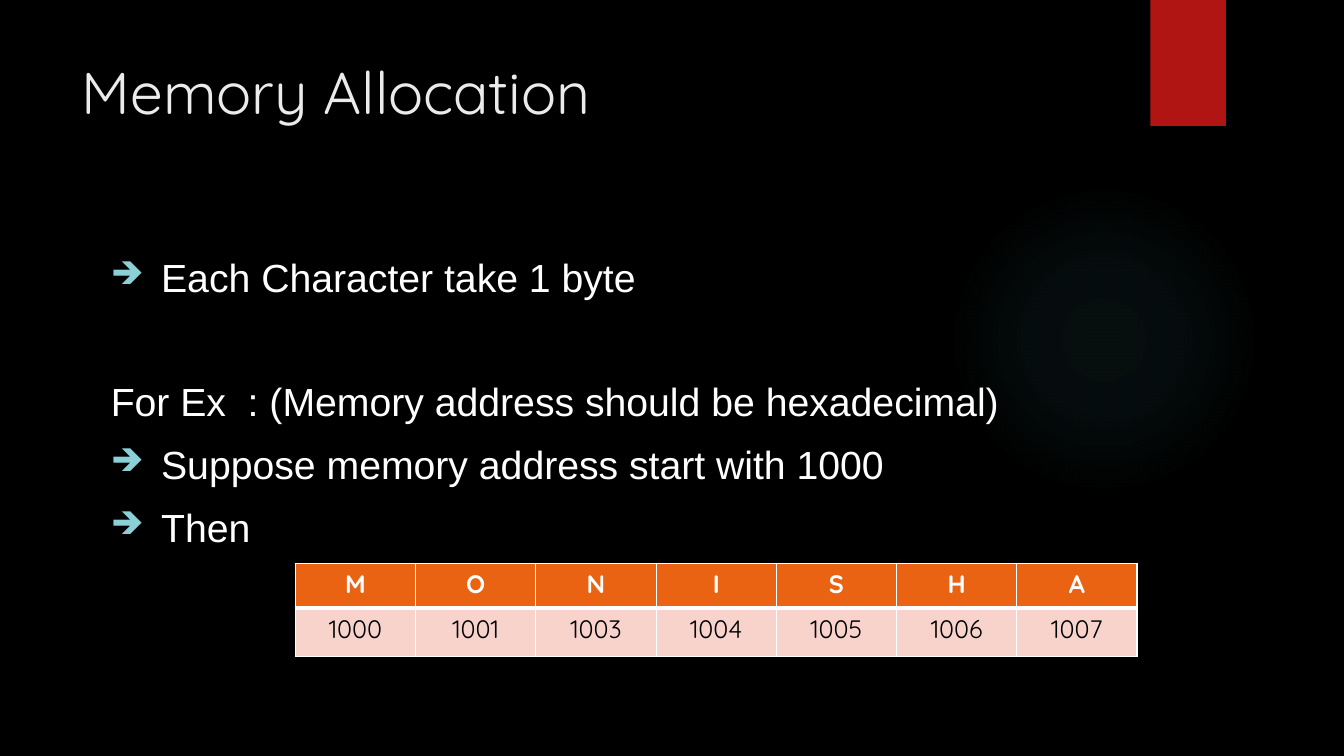
from lxml import etree
from pptx import Presentation
from pptx.dml.color import RGBColor
from pptx.enum.shapes import MSO_SHAPE
from pptx.enum.text import MSO_ANCHOR, MSO_AUTO_SIZE, PP_ALIGN
from pptx.oxml import parse_xml
from pptx.oxml.ns import qn
from pptx.util import Emu, Pt

PX = 9144  # 100 px to the inch
DRAWING_NS = "http://schemas.openxmlformats.org/drawingml/2006/main"
RECTANGLE, OVAL = MSO_SHAPE.RECTANGLE, MSO_SHAPE.OVAL
TOP, LEFT, CENTER = MSO_ANCHOR.TOP, PP_ALIGN.LEFT, PP_ALIGN.CENTER
NO_AUTOFIT = MSO_AUTO_SIZE.NONE

HEADING_FONT, BODY_FONT = "Quicksand", "Arial"
WHITE, BLACK = "FFFFFF", "000000"
GLOW_STOPS = [(0, 7), (36, 6), (69, 0)]  # position and opacity, in percent
# text, bulleted, space before in points
BODY_LINES = [
    ("Each Character take 1 byte", True, 0),
    ("For Ex  : (Memory address should be hexadecimal)", False, 55),
    ("Suppose memory address start with 1000", True, 11.4),
    ("Then", True, 11.4),
]
MEMORY_ROWS = [
    list("MONISHA"),
    ["1000", "1001", "1003", "1004", "1005", "1006", "1007"],
]


def color(hex_string):
    return RGBColor.from_string(hex_string)


def to_emu(box):
    return [Emu(length * PX) for length in box]


def format_runs(paragraph, font_name, size, hex_string, bold=False):
    for run in paragraph.runs:
        run.font.name = font_name
        run.font.size = Pt(size)
        run.font.bold = bold
        run.font.color.rgb = color(hex_string)


def add_plain_shape(slide, kind, box, hex_string):
    shape = slide.shapes.add_shape(kind, *to_emu(box))
    shape.shadow.inherit = False
    shape.fill.solid()
    shape.fill.fore_color.rgb = color(hex_string)
    shape.line.fill.background()
    return shape


def add_glow(slide, box):
    glow = add_plain_shape(slide, OVAL, box, "50B9C1")
    stops = "".join(
        f'<a:gs pos="{position * 1000}"><a:srgbClr val="50B9C1">'
        f'<a:alpha val="{opacity * 1000}"/></a:srgbClr></a:gs>'
        for position, opacity in GLOW_STOPS
    )
    gradient = parse_xml(
        f'<a:gradFill xmlns:a="{DRAWING_NS}"><a:gsLst>{stops}</a:gsLst>'
        '<a:path path="circle"><a:fillToRect l="50000" t="50000" r="50000" b="50000"/>'
        "</a:path></a:gradFill>"
    )
    properties = glow._element.spPr
    properties.replace(properties.find(qn("a:solidFill")), gradient)


def place_title(slide, box):
    title = slide.shapes.title
    title.left, title.top, title.width, title.height = to_emu(box)
    frame = title.text_frame
    frame.text = "Memory Allocation"
    frame.auto_size = NO_AUTOFIT
    frame.vertical_anchor = TOP
    frame.paragraphs[0].alignment = LEFT
    format_runs(frame.paragraphs[0], HEADING_FONT, 42, "EBEBEB")


def set_indent(paragraph, bulleted):
    properties = paragraph._p.get_or_add_pPr()
    properties.set("marL", str((54 if bulleted else 4) * PX))
    properties.set("indent", str((-50 if bulleted else 0) * PX))
    if bulleted:
        bullet_color = etree.SubElement(properties, qn("a:buClr"))
        etree.SubElement(bullet_color, qn("a:srgbClr"), val="8AD0D6")
        etree.SubElement(properties, qn("a:buSzPct"), val="80000")
        etree.SubElement(properties, qn("a:buChar"), char="➔")


def add_body(slide, box):
    frame = slide.shapes.add_textbox(*to_emu(box)).text_frame
    frame.word_wrap = True
    frame.margin_top = Emu(9 * PX)
    frame.text = "\n".join(text for text, _, _ in BODY_LINES)
    for paragraph, (_, bulleted, space) in zip(frame.paragraphs, BODY_LINES):
        paragraph.space_before = Pt(space)
        set_indent(paragraph, bulleted)
        format_runs(paragraph, BODY_FONT, 28, WHITE)


def add_borders(cell, top_width, bottom_width):
    properties = cell._tc.get_or_add_tcPr()
    widths = {"lnL": 1, "lnR": 1, "lnT": top_width, "lnB": bottom_width}
    for side, width in widths.items():
        line = etree.SubElement(properties, qn(f"a:{side}"), w=str(Pt(width)))
        fill = etree.SubElement(line, qn("a:solidFill"))
        etree.SubElement(fill, qn("a:srgbClr"), val=WHITE)


def add_memory_table(slide, box, header_height):
    """Letters in the header row, their addresses below."""
    column_count = len(MEMORY_ROWS[0])
    table = slide.shapes.add_table(len(MEMORY_ROWS), column_count, *to_emu(box)).table
    for column in table.columns:
        column.width = Emu(box[2] * PX // column_count)
    table.rows[0].height = Emu(header_height * PX)
    table.rows[1].height = Emu((box[3] - header_height) * PX)
    for row_index, values in enumerate(MEMORY_ROWS):
        is_header = row_index == 0
        for column_index, value in enumerate(values):
            cell = table.cell(row_index, column_index)
            cell.text = value
            add_borders(cell, *((1, 3) if is_header else (3, 1)))
            cell.fill.solid()
            cell.fill.fore_color.rgb = color("EA6312" if is_header else "F7D3CC")
            paragraph = cell.text_frame.paragraphs[0]
            paragraph.alignment = CENTER
            format_runs(paragraph, HEADING_FONT, 18,
                        WHITE if is_header else BLACK, is_header)


def main():
    presentation = Presentation()
    presentation.slide_width, presentation.slide_height = to_emu((1333, 750))
    slide = presentation.slides.add_slide(presentation.slide_layouts[5])
    slide.background.fill.solid()
    slide.background.fill.fore_color.rgb = color(BLACK)
    add_glow(slide, (941, 183, 308, 308))
    add_plain_shape(slide, RECTANGLE, (1141, 0, 75, 125), "B01513")
    place_title(slide, (71, 50, 1029, 153))
    add_body(slide, (96, 242, 978, 459))
    add_memory_table(slide, (293, 559, 835, 92), header_height=44)
    presentation.save("out.pptx")


if __name__ == "__main__":
    main()
